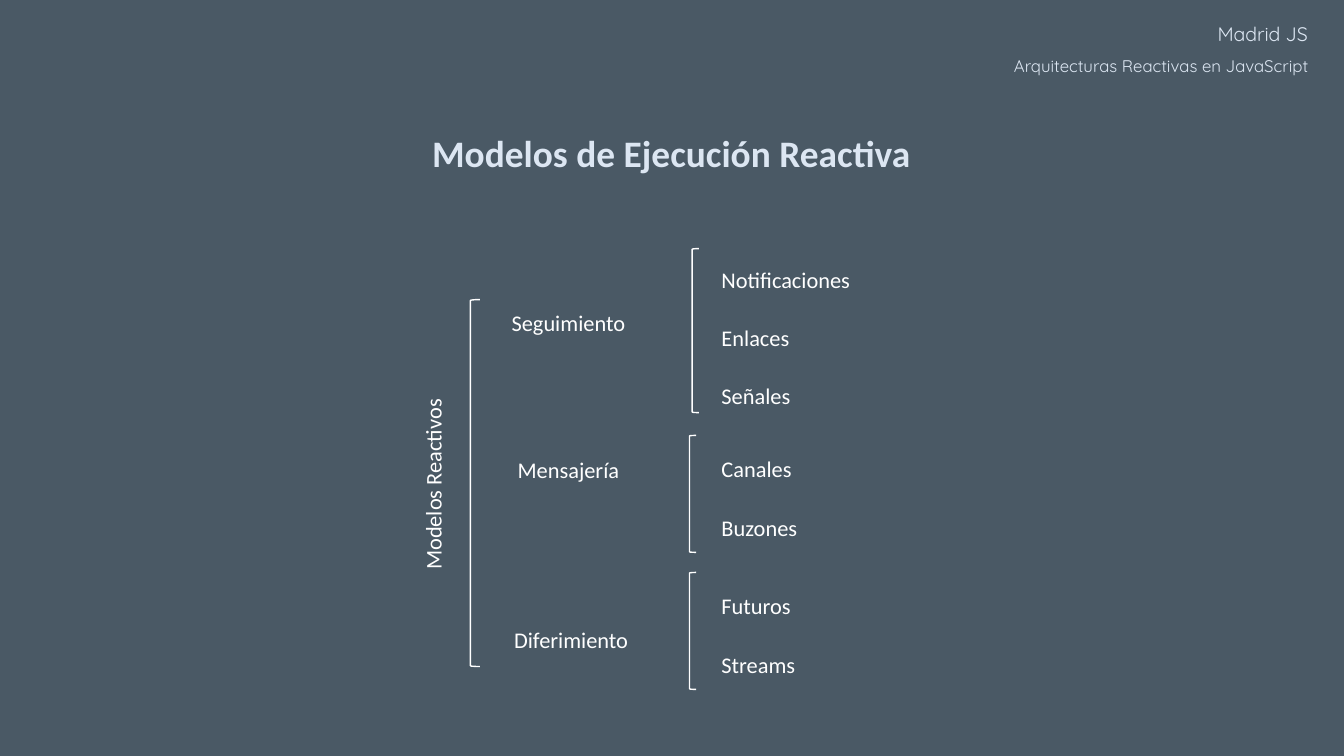
"""Build the slide on reactive execution models."""
from lxml import etree
from pptx import Presentation
from pptx.dml.color import RGBColor
from pptx.enum.shapes import MSO_SHAPE as Shape
from pptx.enum.text import MSO_ANCHOR as Anchor, MSO_AUTO_SIZE as AutoSize, PP_ALIGN as Align
from pptx.oxml.ns import qn
from pptx.util import Inches, Pt

WHITE, PALE, SLATE = "FFFFFF", "DCE6F2", "2B3C4B"


def color(hex_string):
    return RGBColor.from_string(hex_string)


def write(box, lines, sizes, font, hex_string, align, spacings, top=0):
    frame = box.text_frame
    frame.word_wrap = True
    frame.vertical_anchor = Anchor.TOP
    frame.margin_top, frame.margin_bottom = Inches(top), Inches(0.05)
    frame.text = "\n".join(lines)
    for index, (para, size, spacing) in enumerate(zip(frame.paragraphs, sizes, spacings)):
        para.alignment = align
        para.line_spacing = spacing
        para.space_before = Pt(0.2 * size if index else 0)
        for span in para.runs:
            span.font.size = Pt(size)
            span.font.name = font
            span.font.color.rgb = color(hex_string)


deck = Presentation()
deck.slide_width = Inches(10)
deck.slide_height = deck.slide_width * 9 // 16
page = deck.slides.add_slide(deck.slide_layouts[5])
shapes = page.shapes

backdrop = shapes.add_shape(Shape.RECTANGLE, 0, 0, deck.slide_width, deck.slide_height)
backdrop.shadow.inherit = False
backdrop.fill.solid()
backdrop.fill.fore_color.rgb = color(SLATE)
backdrop.line.fill.background()
fill_color = backdrop._element.spPr.find(qn("a:solidFill"))[0]
etree.SubElement(fill_color, qn("a:alpha")).set("val", "85000")
shapes._spTree.insert(2, backdrop._element)

header = shapes.add_textbox(Inches(6.08), Inches(0.15), Inches(3.75), Inches(0.35))
write(header, ["Madrid JS", "Arquitecturas Reactivas en JavaScript"], [10.5, 9],
      "Quicksand", PALE, Align.RIGHT, [Pt(10), Pt(14.6)], top=0.05)

title = shapes.title
title.left, title.top = Inches(3.1), Inches(0.92)
title.width, title.height = Inches(3.79), Inches(0.44)
write(title, ["Modelos de Ejecución Reactiva"], [20], "Calibri", PALE, Align.CENTER, [1], top=0.05)
title.text_frame.word_wrap = False
title.text_frame.auto_size = AutoSize.SHAPE_TO_FIT_TEXT
title.text_frame.paragraphs[0].runs[0].font.bold = True

brackets = [(3.5, 2.23, 0.07, 2.73), (5.15, 1.85, 0.05, 1.22),
            (5.13, 3.24, 0.05, 0.87), (5.13, 4.26, 0.05, 0.87)]
for place in brackets:
    bracket = shapes.add_shape(Shape.LEFT_BRACKET, *map(Inches, place))
    bracket.shadow.inherit = False
    bracket.fill.background()
    bracket.line.color.rgb = color(WHITE)
    bracket.line.width = Pt(0.75)

labels = [("Modelos Reactivos", 2.06, 3.5, 2.33, 270), ("Seguimiento", 3.61, 2.3, 1.24, 0),
          ("Mensajería", 3.61, 3.39, 1.24, 0), ("Diferimiento", 3.63, 4.66, 1.24, 0)]
for text, left, top, width, rotation in labels:
    label = shapes.add_textbox(Inches(left), Inches(top), Inches(width), Inches(0.21))
    label.rotation = rotation
    write(label, [text], [12], "Calibri", WHITE, Align.CENTER, [1])

groups = [(1.78, 1.29, ["Notificaciones", "Enlaces", "Señales"]),
          (3.19, 0.96, ["Canales", "Buzones"]),
          (4.21, 0.96, ["Futuros", "Streams"])]
for top, height, items in groups:
    group = shapes.add_textbox(Inches(5.27), Inches(top), Inches(1.24), Inches(height))
    write(group, items, [12] * len(items), "Calibri", WHITE, Align.LEFT, [2.0] * len(items))

deck.save("out.pptx")
